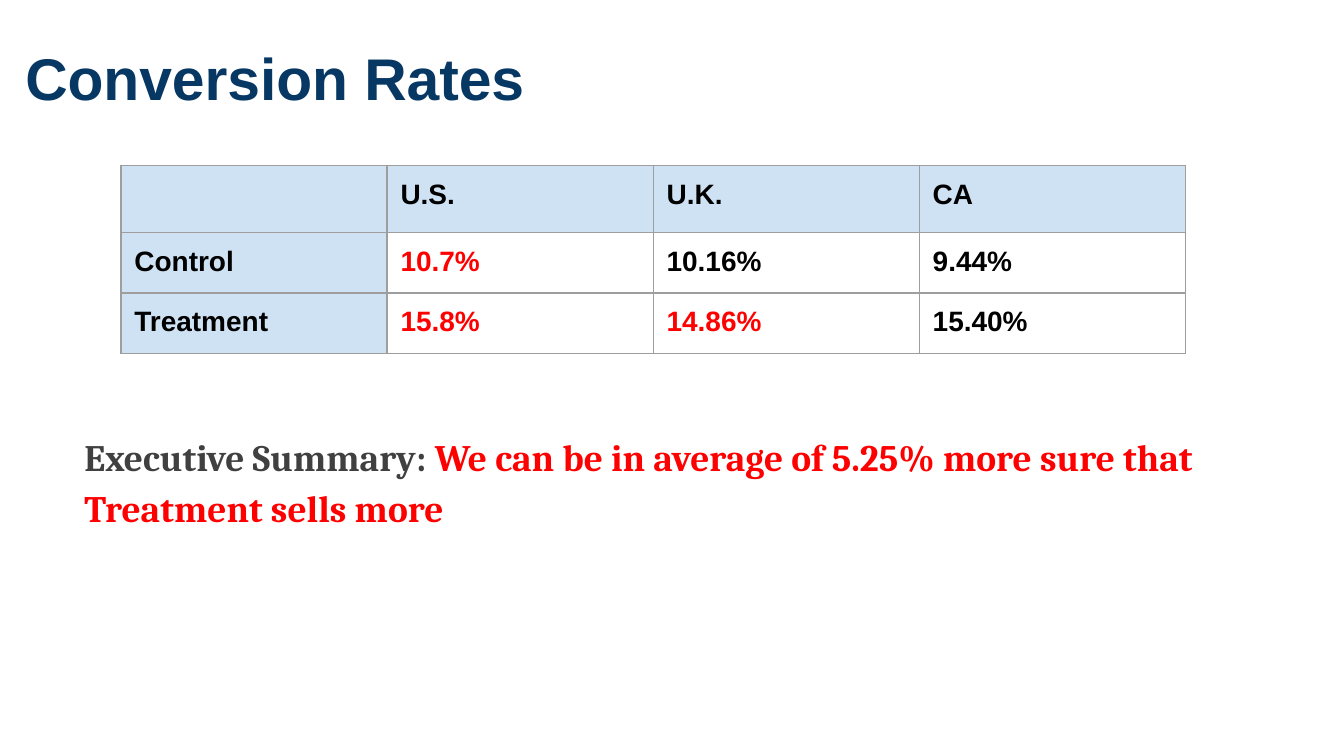
from dataclasses import dataclass

import pptx
import pptx.dml.color
import pptx.enum.text
import pptx.oxml
import pptx.oxml.ns
import pptx.util
from pptx.util import Inches

COLOURS = {
    "title": "073763",
    "black": "000000",
    "red": "FF0000",
    "grey": "404040",
    "header": "CFE2F3",
    "white": "FFFFFF",
    "border": "9E9E9E",
}
PAGE_WIDTH = Inches(10)
PAGE_HEIGHT = PAGE_WIDTH * 9 // 16
MARGIN = Inches(0.1)
COLUMN_WIDTH = Inches(1.98)
ROW_HEIGHT = Inches(0.45)
RATES = [
    ["", "U.S.", "U.K.", "CA"],
    ["Control", "10.7%", "10.16%", "9.44%"],
    ["Treatment", "15.8%", "14.86%", "15.40%"],
]
RED_RATES = {"10.7%", "15.8%", "14.86%"}


@dataclass
class Phrase:
    text: str
    colour: str


@dataclass
class TextBlock:
    left: float
    top: float
    width: float
    height: float
    font: str
    size: float
    phrases: list[Phrase]
    line_spacing: float = 1.0


TEXT_BLOCKS = [
    TextBlock(0.09, 0.21, 10, 0.73, "Arial", 31.5, [Phrase("Conversion Rates", "title")]),
    TextBlock(
        0.53, 3.08, 8.98, 0.98, "Cambria", 20,
        [
            Phrase("Executive Summary: ", "grey"),
            Phrase("We can be in average of 5.25% more sure that Treatment sells more", "red"),
        ],
        line_spacing=1.15,
    ),
]


def rgb(name: str) -> pptx.dml.color.RGBColor:
    return pptx.dml.color.RGBColor.from_string(COLOURS[name])


def style_font(font, name: str, size: float, colour: str) -> None:
    font.name = name
    font.size = pptx.util.Pt(size)
    font.bold = True
    font.color.rgb = rgb(colour)


def set_margins(holder) -> None:
    """Give a text frame or a table cell the same margin on every side."""
    holder.margin_left = holder.margin_right = MARGIN
    holder.margin_top = holder.margin_bottom = MARGIN


def add_text_block(slide, block: TextBlock) -> None:
    box = slide.shapes.add_textbox(
        Inches(block.left), Inches(block.top), Inches(block.width), Inches(block.height)
    )
    frame = box.text_frame
    frame.word_wrap = True
    frame.auto_size = pptx.enum.text.MSO_AUTO_SIZE.SHAPE_TO_FIT_TEXT
    set_margins(frame)
    para = frame.paragraphs[0]
    para.line_spacing = block.line_spacing
    for phrase in block.phrases:
        span = para.add_run()
        span.text = phrase.text
        style_font(span.font, block.font, block.size, phrase.colour)


def add_cell_borders(cell) -> None:
    """Insert the four border lines ahead of the cell's fill, as the schema requires."""
    properties = cell._tc.get_or_add_tcPr()
    for position, side in enumerate(("lnL", "lnR", "lnT", "lnB")):
        line = pptx.oxml.parse_xml(
            f'<a:{side} {pptx.oxml.ns.nsdecls("a")} w="{pptx.util.Pt(0.75)}">'
            f'<a:solidFill><a:srgbClr val="{COLOURS["border"]}"/></a:solidFill></a:{side}>'
        )
        properties.insert(position, line)


def add_rates_table(slide) -> None:
    row_count, column_count = len(RATES), len(RATES[0])
    table = slide.shapes.add_table(
        row_count, column_count, Inches(0.9), Inches(1.23),
        COLUMN_WIDTH * column_count, ROW_HEIGHT * row_count,
    ).table
    for row_index, row in enumerate(RATES):
        for column_index, text in enumerate(row):
            cell = table.cell(row_index, column_index)
            set_margins(cell)
            is_header = row_index == 0 or column_index == 0
            cell.fill.solid()
            cell.fill.fore_color.rgb = rgb("header" if is_header else "white")
            add_cell_borders(cell)
            para = cell.text_frame.paragraphs[0]
            para.text = text
            for span in para.runs:
                style_font(span.font, "Arial", 15, "red" if text in RED_RATES else "black")


def main() -> None:
    deck = pptx.Presentation()
    deck.slide_width = PAGE_WIDTH
    deck.slide_height = PAGE_HEIGHT
    page = deck.slides.add_slide(deck.slide_layouts[6])
    title, summary = TEXT_BLOCKS
    add_text_block(page, title)
    add_rates_table(page)
    add_text_block(page, summary)
    deck.save("out.pptx")


if __name__ == "__main__":
    main()
